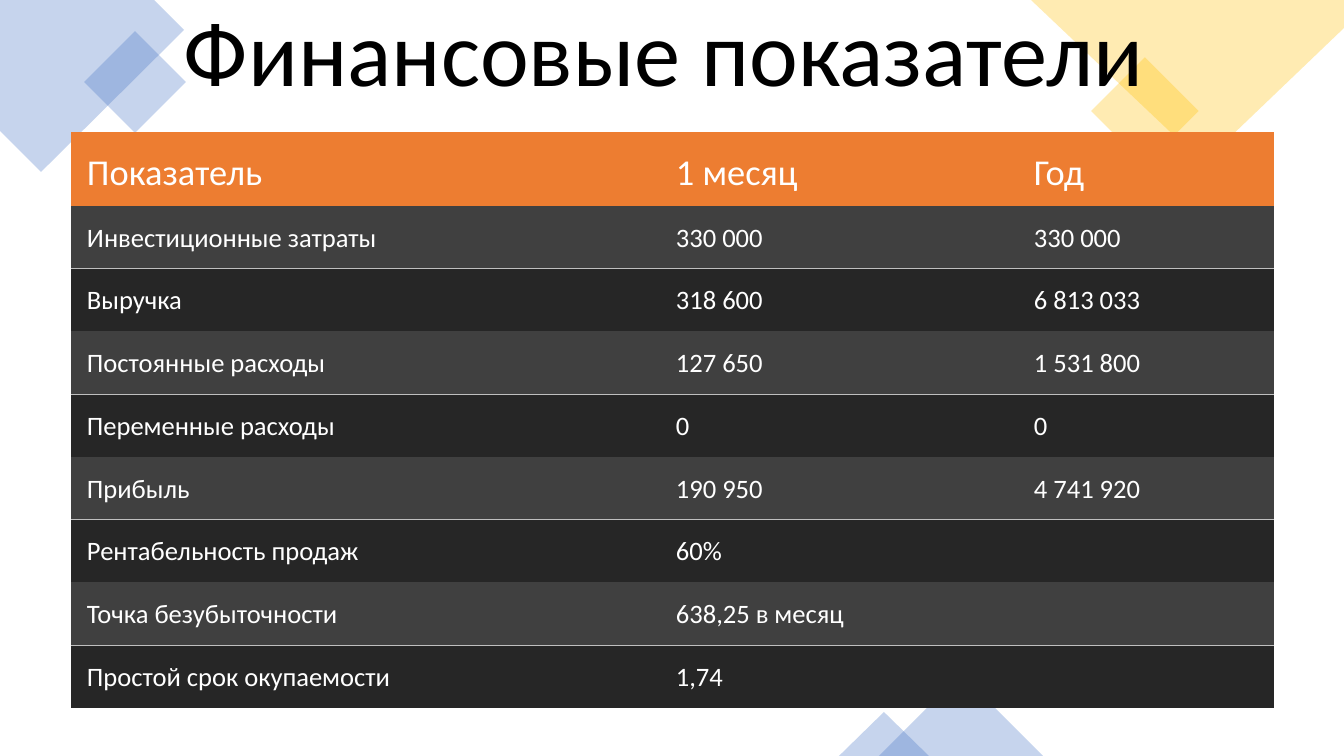
import pptx
import pptx.dml.color
import pptx.enum.shapes
import pptx.enum.text
import pptx.oxml.ns
import pptx.util
from lxml import etree

RGBColor = pptx.dml.color.RGBColor
MSO_SHAPE = pptx.enum.shapes.MSO_SHAPE
MSO_ANCHOR = pptx.enum.text.MSO_ANCHOR
qn = pptx.oxml.ns.qn

BLUE = RGBColor(0x44, 0x72, 0xC4)
YELLOW = RGBColor(0xFF, 0xC0, 0x00)
ORANGE = RGBColor(0xED, 0x7D, 0x31)
GRAPHITE = RGBColor(0x40, 0x40, 0x40)
CHARCOAL = RGBColor(0x26, 0x26, 0x26)
RULE_GREY = RGBColor(0xBF, 0xBF, 0xBF)
WHITE = RGBColor(0xFF, 0xFF, 0xFF)
BLACK = RGBColor(0x00, 0x00, 0x00)
FONT = "Calibri"

# Content
TITLE = "Финансовые показатели"
ROWS = [
    ("Показатель", "1 месяц", "Год"),
    ("Инвестиционные затраты", "330 000", "330 000"),
    ("Выручка", "318 600", "6 813 033"),
    ("Постоянные расходы", "127 650", "1 531 800"),
    ("Переменные расходы", "0", "0"),
    ("Прибыль", "190 950", "4 741 920"),
    ("Рентабельность продаж", "60%", ""),
    ("Точка безубыточности", "638,25 в месяц", ""),
    ("Простой срок окупаемости", "1,74", ""),
]

# Geometry in px
SLIDE_WIDTH, SLIDE_HEIGHT = 1344, 756
TITLE_BOX = (174, -283, 993, 394)
TABLE_BOX = (71, 132, 1203, 576)
COLUMN_WIDTHS = (589, 358, 256)
HEADER_HEIGHT = 74
CELL_INSET, CELL_INSET_BOTTOM = 16, 8
CORNERS = [
    (BLUE, [(154, 0), (0, 0), (0, 131), (41, 172), (184, 30)]),
    (YELLOW, [(1344, 0), (1031, 0), (1203, 163), (1344, 28)]),
]
ACCENTS = [
    (MSO_SHAPE.RECTANGLE, BLUE, (99, 46, 72, 72), 315),
    (MSO_SHAPE.RECTANGLE, YELLOW, (1107, 73, 76, 76), 315),
    (MSO_SHAPE.ISOSCELES_TRIANGLE, BLUE, (879, 674, 164, 82), 0),
    (MSO_SHAPE.ISOSCELES_TRIANGLE, BLUE, (839, 712, 90, 44), 0),
]


def px(length):
    return pptx.util.Emu(round(length * 914400 / 100.8))


def box(lengths):
    return [px(length) for length in lengths]


def tint(shape, color):
    """Flat fill at 30 % opacity, without outline or shadow."""
    shape.shadow.inherit = False
    shape.line.fill.background()
    shape.fill.solid()
    shape.fill.fore_color.rgb = color
    color_element = shape.fill._xPr.find(qn("a:solidFill"))[0]
    etree.SubElement(color_element, qn("a:alpha"), val="30000")


def style_text(paragraph, size, color):
    for run in paragraph.runs:
        run.font.name = FONT
        run.font.size = pptx.util.Pt(size)
        run.font.color.rgb = color


def set_borders(cell, ruled_edge):
    properties = cell._tc.get_or_add_tcPr()
    for edge in ("lnL", "lnR", "lnT", "lnB"):
        line = etree.SubElement(properties, qn("a:" + edge), w=str(pptx.util.Pt(1)))
        if edge == ruled_edge:
            fill = etree.SubElement(line, qn("a:solidFill"))
            etree.SubElement(fill, qn("a:srgbClr"), val=str(RULE_GREY))
        else:
            etree.SubElement(line, qn("a:noFill"))


def add_decoration(slide):
    for color, points in CORNERS:
        start, *others = [box(point) for point in points]
        builder = slide.shapes.build_freeform(*start)
        builder.add_line_segments(others, close=True)
        tint(builder.convert_to_shape(), color)
    for kind, color, place, rotation in ACCENTS:
        shape = slide.shapes.add_shape(kind, *box(place))
        shape.rotation = rotation
        tint(shape, color)


def add_indicator_table(slide):
    frame = slide.shapes.add_table(len(ROWS), len(COLUMN_WIDTHS), *box(TABLE_BOX))
    table = frame.table
    table.horz_banding = False
    for column, width in zip(table.columns, COLUMN_WIDTHS):
        column.width = px(width)
    body_height = (TABLE_BOX[3] - HEADER_HEIGHT) / (len(ROWS) - 1)

    for row_index, values in enumerate(ROWS):
        is_header = row_index == 0
        table.rows[row_index].height = px(HEADER_HEIGHT if is_header else body_height)
        # Each odd row shares a rule with the even row below it
        if is_header:
            color, ruled_edge, size = ORANGE, None, 26
        elif row_index % 2:
            color, ruled_edge, size = GRAPHITE, "lnB", 19
        else:
            color, ruled_edge, size = CHARCOAL, "lnT", 19
        for column_index, value in enumerate(values):
            cell = table.cell(row_index, column_index)
            set_borders(cell, ruled_edge)
            cell.fill.solid()
            cell.fill.fore_color.rgb = color
            cell.margin_left = cell.margin_right = cell.margin_top = px(CELL_INSET)
            cell.margin_bottom = px(CELL_INSET_BOTTOM)
            cell.vertical_anchor = MSO_ANCHOR.MIDDLE if is_header else MSO_ANCHOR.TOP
            if value:
                cell.text_frame.text = value
                paragraph = cell.text_frame.paragraphs[0]
                paragraph.font.bold = False
                style_text(paragraph, size, WHITE)
                paragraph.runs[0].font.bold = False


def add_title(slide):
    text_frame = slide.shapes.add_textbox(*box(TITLE_BOX)).text_frame
    text_frame.word_wrap = True
    text_frame.vertical_anchor = MSO_ANCHOR.BOTTOM
    text_frame.text = TITLE
    paragraph = text_frame.paragraphs[0]
    paragraph.line_spacing = 0.9
    style_text(paragraph, 66, BLACK)


def main():
    presentation = pptx.Presentation()
    presentation.slide_width = px(SLIDE_WIDTH)
    presentation.slide_height = px(SLIDE_HEIGHT)
    slide = presentation.slides.add_slide(presentation.slide_layouts[6])
    add_decoration(slide)
    add_indicator_table(slide)
    add_title(slide)
    presentation.save("out.pptx")


if __name__ == "__main__":
    main()
